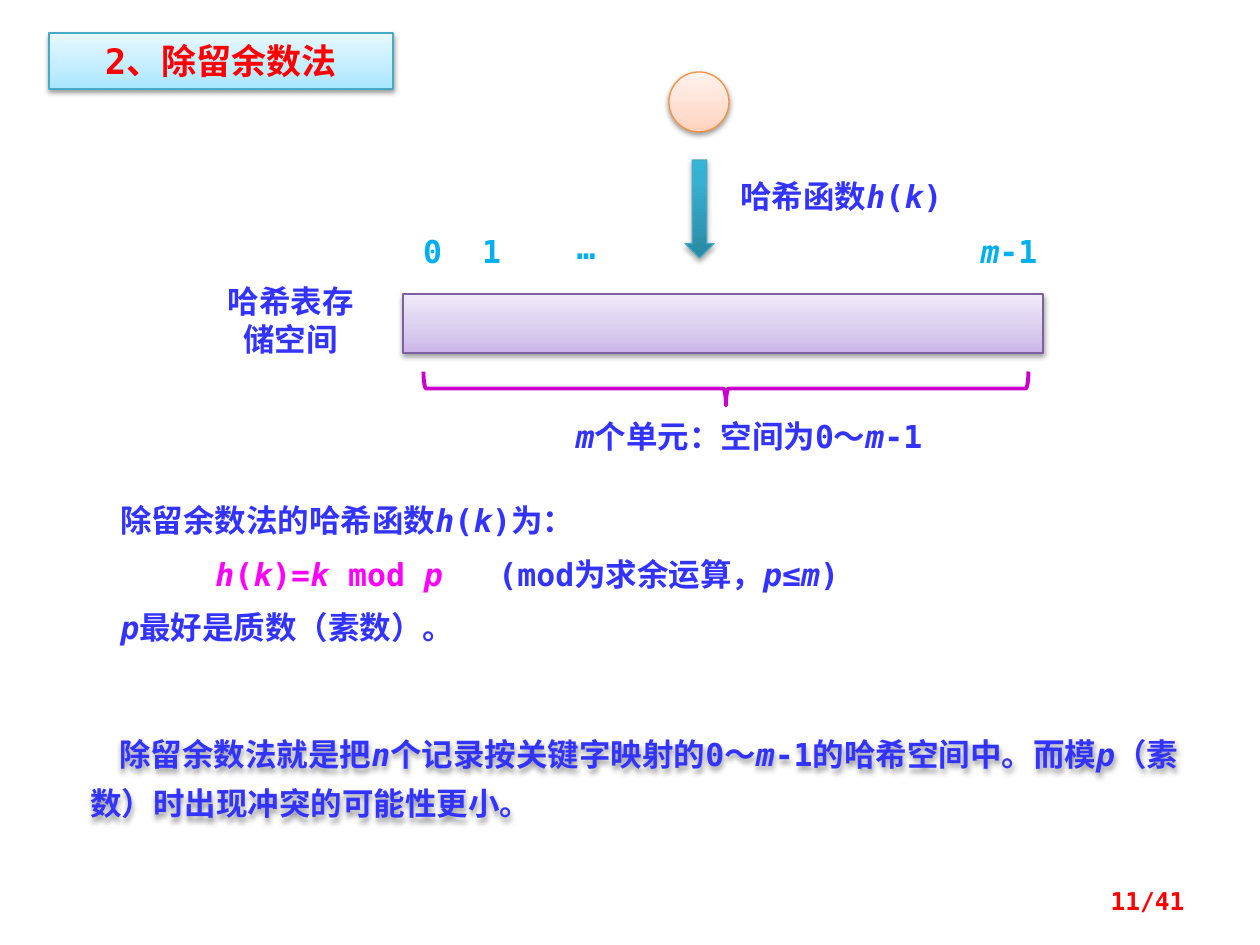
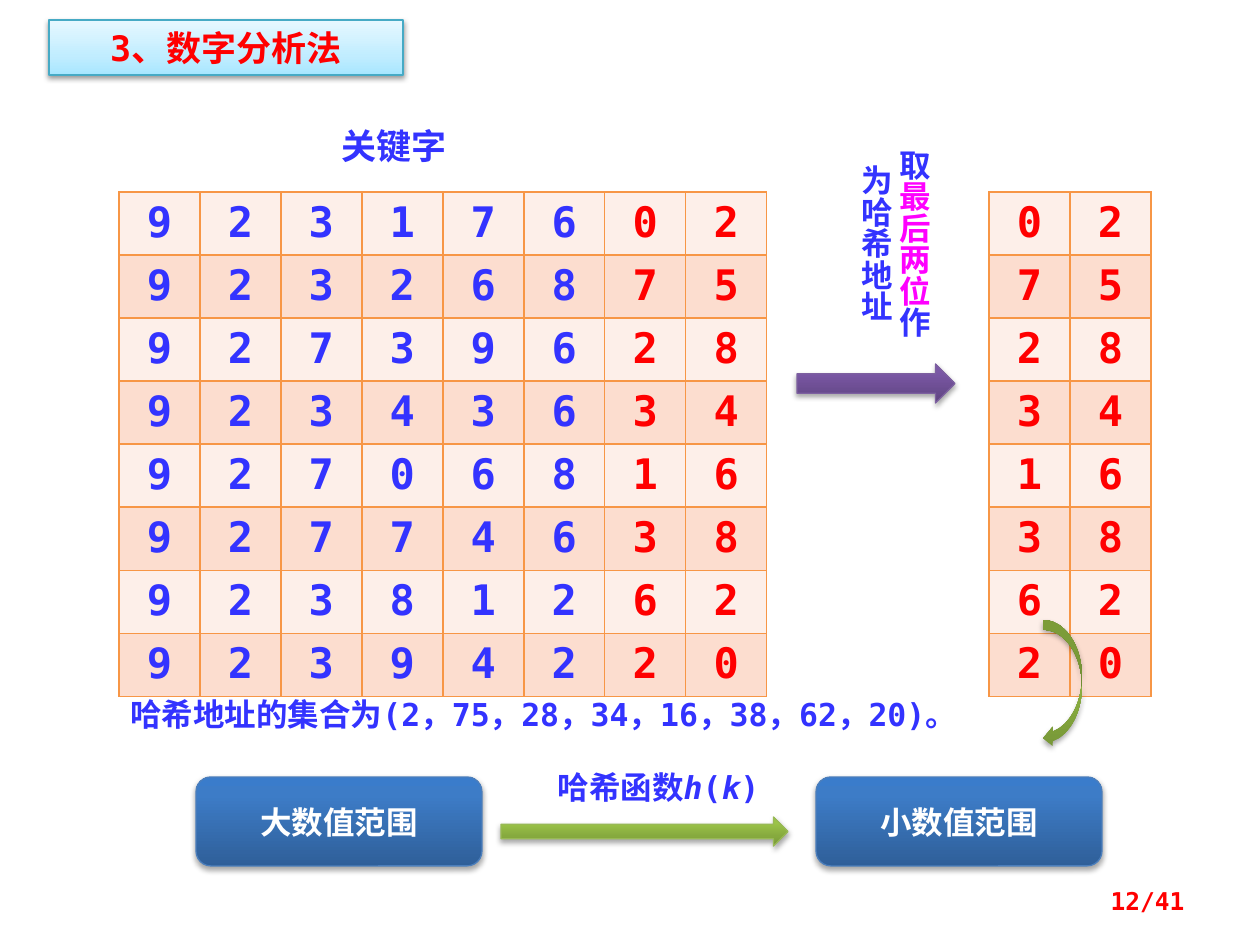
from copy import deepcopy

from lxml import etree
from pptx import Presentation
from pptx.dml.color import RGBColor
from pptx.enum.shapes import MSO_SHAPE
from pptx.enum.text import MSO_ANCHOR, MSO_AUTO_SIZE, PP_ALIGN
from pptx.oxml.ns import qn
from pptx.util import Emu, Pt

LEFT, CENTER, RIGHT, JUSTIFY = PP_ALIGN.LEFT, PP_ALIGN.CENTER, PP_ALIGN.RIGHT, PP_ALIGN.JUSTIFY
TOP, MIDDLE = MSO_ANCHOR.TOP, MSO_ANCHOR.MIDDLE
RECT, ROUND_RECT, ELLIPSE = MSO_SHAPE.RECTANGLE, MSO_SHAPE.ROUNDED_RECTANGLE, MSO_SHAPE.OVAL
DOWN_ARROW, RIGHT_ARROW = MSO_SHAPE.DOWN_ARROW, MSO_SHAPE.RIGHT_ARROW
CURVED_ARROW, BRACE = MSO_SHAPE.CURVED_LEFT_ARROW, MSO_SHAPE.LEFT_BRACE

MONO, CJK = "DejaVu Sans Mono", "Noto Sans CJK SC"
TITLE_ONLY = 5
PAGE_COUNT = 41
COLORS = {
    "text": "3333FF", "accent": "FF0000", "formula": "FF00FF", "index": "00B0F0",
    "brace": "CC00CC", "white": "FFFFFF", "shadow": "000000",
    "grid": "F79646", "odd_row": "FDEFE9", "even_row": "FCDDCF",
}
SOFT_STOPS, STRONG_STOPS = (0, 0.35, 1), (0, 0.8, 1)
SOFT_SHADOW, STRONG_SHADOW = (20000, 38), (23000, 35)
# Gradient colours from bottom to top, outline, stop positions, shadow distance and opacity
LOOKS = {
    "sky": (("A7E6FF", "C1EDFF", "E7F8FF"), "46AAC5", SOFT_STOPS, SOFT_SHADOW),
    "lilac": (("C9B5E8", "D8CBEE", "F0EAF9"), "7D60A0", SOFT_STOPS, SOFT_SHADOW),
    "peach": (("FFD2BD", "FFDED0", "FFF2ED"), "F69240", SOFT_STOPS, SOFT_SHADOW),
    "teal": (("2A88A2", "37B1D2", "34B4D6"), "46AAC5", STRONG_STOPS, STRONG_SHADOW),
    "purple": (("5F4480", "7B58A6", "7C57A8"), "7D60A0", STRONG_STOPS, STRONG_SHADOW),
    "green": (("779737", "9BC348", "9DC746"), "98B955", STRONG_STOPS, STRONG_SHADOW),
    "blue": (("2F5F99", "3D7CC7", "3A7CCB"), "4B7EBC", STRONG_STOPS, STRONG_SHADOW),
}
KEYS = ["92317602", "92326875", "92739628", "92343634",
        "92706816", "92774638", "92381262", "92394220"]
ADDRESS_DIGITS = 2
ROW_HEIGHT, DIGIT_WIDTH = 63, 81


def px(length):
    return Emu(round(length * 914400 / 126))


def rgb(name):
    return RGBColor.from_string(COLORS.get(name, name))


def add_runs(paragraph, text, color="text", size=18, font=MONO):
    """Add text to the paragraph; parts between asterisks are italic."""
    for i, part in enumerate(text.split("*")):
        if not part:
            continue
        run = paragraph.add_run()
        run.text = part
        run.font.size, run.font.bold, run.font.italic = Pt(size), True, i % 2 == 1
        run.font.name = font
        run.font.color.rgb = rgb(color)
        etree.SubElement(run.font._element, qn("a:ea"), typeface=font)


def add_shadow(shape, distance, opacity):
    shape.shadow.inherit = False
    effects = shape._element.spPr.find(qn("a:effectLst"))
    outer = etree.SubElement(effects, qn("a:outerShdw"), blurRad="40000", dist=str(distance),
                             dir="5400000", rotWithShape="0")
    color = etree.SubElement(outer, qn("a:srgbClr"), val=COLORS["shadow"])
    etree.SubElement(color, qn("a:alpha"), val=str(opacity * 1000))


def apply_look(shape, look, outlined=True):
    colors, outline, positions, shadow = LOOKS[look]
    fill = shape.fill
    fill.gradient()
    fill.gradient_angle = 90
    stop_list = shape._element.spPr.find(".//" + qn("a:gsLst"))
    stop_list.append(deepcopy(stop_list[-1]))
    for stop, color, position in zip(fill.gradient_stops, colors, positions):
        stop.color.rgb = rgb(color)
        stop.position = position
    if outlined:
        shape.line.color.rgb = rgb(outline)
        shape.line.width = Pt(0.75)
    else:
        shape.line.fill.background()
    add_shadow(shape, *shadow)


def add_block(slide, kind, box, look, label="", outlined=True):
    block = slide.shapes.add_shape(kind, *map(px, box))
    apply_look(block, look, outlined)
    if label:
        block.text_frame.vertical_anchor = MIDDLE
        paragraph = block.text_frame.paragraphs[0]
        paragraph.alignment = CENTER
        add_runs(paragraph, label, "white", font=CJK)


def add_text(slide, box, pieces, align=CENTER, anchor=TOP, size=18, font=MONO):
    """Add a one-paragraph text box from (text, colour) pieces."""
    text_box = slide.shapes.add_textbox(*map(px, box))
    frame = text_box.text_frame
    frame.word_wrap = True
    frame.vertical_anchor = anchor
    frame.paragraphs[0].alignment = align
    for text, color in pieces:
        add_runs(frame.paragraphs[0], text, color, size, font)
    return text_box


def indent_first_line(paragraph, indent):
    properties = paragraph._p.get_or_add_pPr()
    properties.set("marL", "0")
    properties.set("indent", str(px(indent)))
    return properties


def add_tab_stop(properties, position):
    tabs = etree.SubElement(properties, qn("a:tabLst"))
    etree.SubElement(tabs, qn("a:tab"), pos=str(px(position)), algn="l")


def add_slide(deck, title, title_box, page):
    slide = deck.slides.add_slide(deck.slide_layouts[TITLE_ONLY])
    heading = slide.shapes.title
    heading.left, heading.top, heading.width, heading.height = map(px, title_box)
    apply_look(heading, "sky")
    frame = heading.text_frame
    frame.auto_size = MSO_AUTO_SIZE.NONE
    frame.vertical_anchor = TOP
    frame.paragraphs[0].alignment = CENTER
    add_runs(frame.paragraphs[0], title, "accent", 20)
    add_text(slide, (903, 876, 294, 50), [(f"{page}/{PAGE_COUNT}", "accent")],
             RIGHT, MIDDLE, 14)
    return slide


def add_cell_borders(cell):
    properties = cell._tc.get_or_add_tcPr()
    for side in ("lnL", "lnR", "lnT", "lnB"):
        line = etree.SubElement(properties, qn("a:" + side), w=str(Pt(1)))
        solid = etree.SubElement(line, qn("a:solidFill"))
        etree.SubElement(solid, qn("a:srgbClr"), val=COLORS["grid"])


def add_digit_table(slide, left, numbers):
    """Add one row per number, one digit per cell, with the address digits accented."""
    digits = len(numbers[0])
    table = slide.shapes.add_table(len(numbers), digits, px(left), px(192),
                                   px(digits * DIGIT_WIDTH), px(len(numbers) * ROW_HEIGHT)).table
    table.first_row = table.horz_banding = False
    for column in table.columns:
        column.width = px(DIGIT_WIDTH)
    for r, number in enumerate(numbers):
        table.rows[r].height = px(ROW_HEIGHT)
        for c, digit in enumerate(number):
            cell = table.cell(r, c)
            add_cell_borders(cell)
            cell.fill.solid()
            cell.fill.fore_color.rgb = rgb("even_row" if r % 2 else "odd_row")
            paragraph = cell.text_frame.paragraphs[0]
            paragraph.alignment = CENTER
            in_address = c >= digits - ADDRESS_DIGITS
            add_runs(paragraph, digit, "accent" if in_address else "text", 24)


def add_brace(slide, box):
    brace = slide.shapes.add_shape(BRACE, *map(px, box))
    brace.rotation = 270
    brace.fill.background()
    brace.line.color.rgb = rgb("brace")
    brace.line.width = Pt(2.25)
    brace.shadow.inherit = False


def add_definition(slide):
    definition = add_text(slide, (108, 495, 1063, 165),
                          [("除留余数法的哈希函数*h*(*k*)为：", "text")], JUSTIFY)
    formula, advice = (definition.text_frame.add_paragraph() for _ in range(2))
    add_tab_stop(indent_first_line(formula, 95), 362)
    for paragraph in (formula, advice):
        paragraph.alignment = JUSTIFY
        paragraph.space_before = Pt(9)
    add_runs(formula, "*h*(*k*)=*k* mod *p*", "formula")
    add_runs(formula, "\t(mod为求余运算，*p*≤*m*)")
    add_runs(advice, "*p*最好是质数（素数）。")


def add_division_slide(deck):
    slide = add_slide(deck, "2、除留余数法", (49, 33, 344, 56), 11)
    add_block(slide, RECT, (403, 294, 640, 59), "lilac")
    add_text(slide, (207, 276, 167, 89), [("哈希表存储空间", "text")])
    for left, width, index in ((403, 59, "0"), (462, 59, "1"), (532, 108, "…"),
                               (965, 88, "*m*-1")):
        add_text(slide, (left, 226 if index != "…" else 222, width, 50), [(index, "index")])
    add_brace(slide, (709, 86, 34, 605))
    add_text(slide, (493, 411, 512, 50), [("*m*个单元：空间为0～*m*-1", "text")])
    add_block(slide, ELLIPSE, (669, 72, 60, 60), "peach")
    add_block(slide, DOWN_ARROW, (685, 160, 29, 98), "teal")
    add_text(slide, (728, 171, 295, 50), [("哈希函数*h*(*k*)", "text")], LEFT)
    add_definition(slide)
    summary = add_text(slide, (78, 718, 1142, 107), [
        ("除留余数法就是把*n*个记录按关键字映射的0～*m*-1的哈希空间中。"
         "而模*p*（素数）时出现冲突的可能性更小。", "text")], LEFT)
    summary_line = summary.text_frame.paragraphs[0]
    summary_line.line_spacing = Pt(28)
    indent_first_line(summary_line, 29)
    add_shadow(summary, *SOFT_SHADOW)


def add_digit_analysis_slide(deck):
    slide = add_slide(deck, "3、数字分析法", (49, 20, 354, 55), 12)
    add_text(slide, (118, 689, 1033, 50),
             [("哈希地址的集合为(2，75，28，34，16，38，62，20)。", "text")], JUSTIFY)
    add_digit_table(slide, 119, KEYS)
    add_digit_table(slide, 989, [key[-ADDRESS_DIGITS:] for key in KEYS])
    add_text(slide, (266, 118, 256, 55), [("关键字", "text")], size=20)
    add_block(slide, RIGHT_ARROW, (797, 364, 158, 39), "purple")
    rule = add_text(slide, (837, 137, 102, 227), [
        ("取", "text"), ("最后两位", "formula"), ("作为哈希地址", "text")], font=CJK)
    rule.text_frame._txBody.bodyPr.set("vert", "eaVert")
    add_block(slide, CURVED_ARROW, (1043, 620, 39, 128), "green", outlined=False)
    for left, label in ((196, "大数值范围"), (816, "小数值范围")):
        add_block(slide, ROUND_RECT, (left, 777, 286, 89), "blue", label)
    add_block(slide, RIGHT_ARROW, (501, 817, 287, 29), "green")
    add_text(slide, (511, 762, 295, 50), [("哈希函数*h*(*k*)", "text")])


def main():
    deck = Presentation()
    deck.slide_width, deck.slide_height = px(1260), px(945)
    add_division_slide(deck)
    add_digit_analysis_slide(deck)
    deck.save("out.pptx")


if __name__ == "__main__":
    main()
